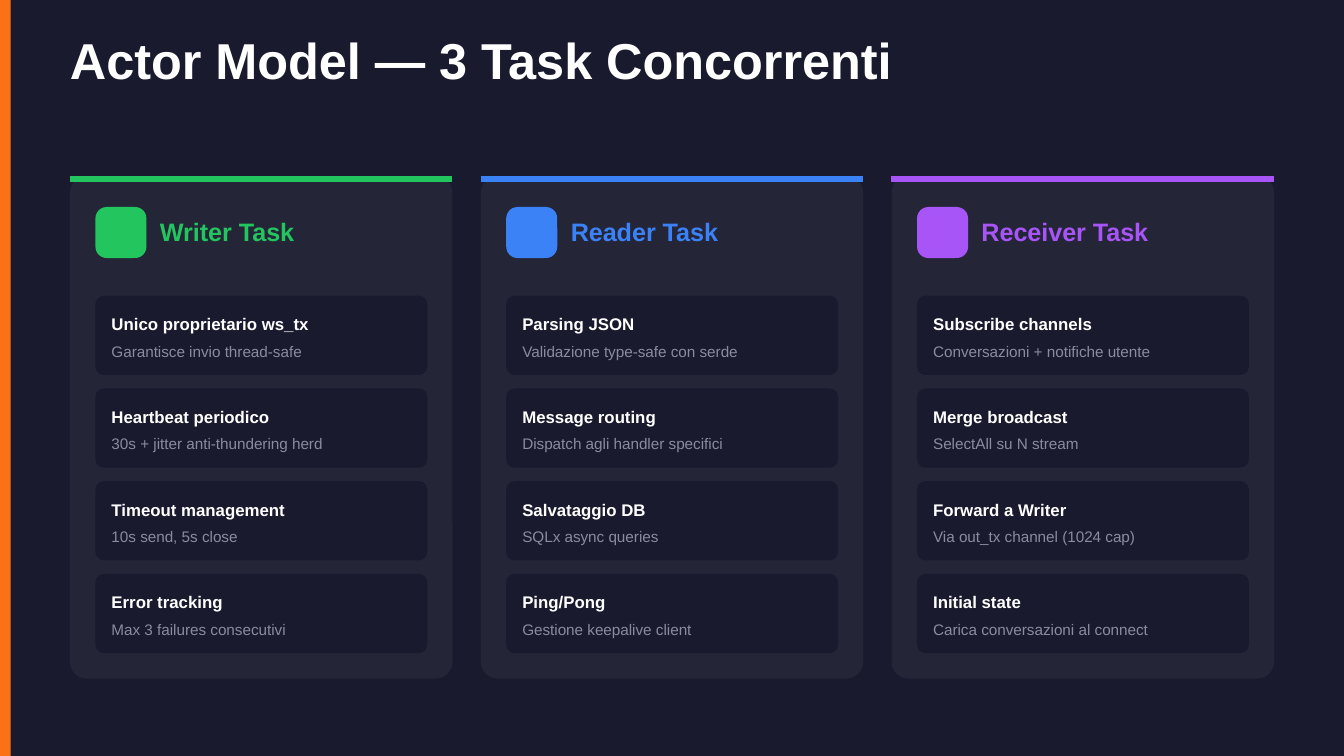
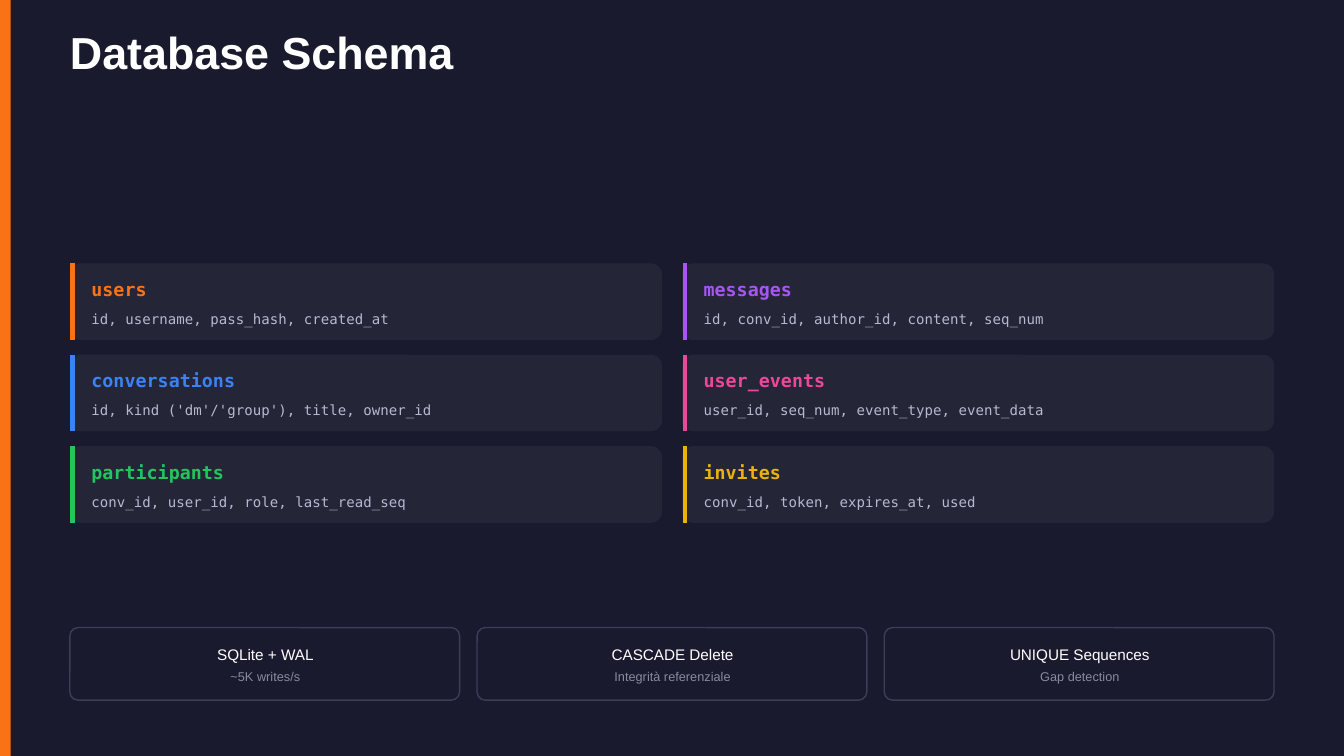
from dataclasses import dataclass, replace
from typing import NamedTuple

from lxml import etree
from pptx import Presentation
from pptx import util as u
from pptx.dml.color import RGBColor
from pptx.enum import shapes, text
from pptx.oxml import ns

HEX = {
    "night": "1A1A2E", "panel": "252538", "edge": "3D3D56", "white": "FFFFFF",
    "grey": "8B8BA0", "pale": "B8B8D0", "orange": "F97316", "green": "22C55E",
    "blue": "3B82F6", "purple": "A855F7", "pink": "EC4899", "yellow": "EAB308",
}
SANS, MONO = "Arial", "DejaVu Sans Mono"
LEFT, SPAN = 0.52, 8.96  # content area shared by every row of cards


class Box(NamedTuple):
    x: float
    y: float
    w: float
    h: float

    def inner(self, dx: float, dy: float, w: float, h: float) -> "Box":
        return Box(self.x + dx, self.y + dy, w, h)


@dataclass(frozen=True)
class Grid:
    """Equal cells across a width, at a fixed row pitch."""
    x: float
    y: float
    span: float
    cols: int
    gap: float
    high: float
    pitch: float = 0

    def cell(self, col: int, row: int = 0) -> Box:
        wide = (self.span - self.gap * (self.cols - 1)) / self.cols
        return Box(self.x + col * (wide + self.gap),
                   self.y + row * self.pitch, wide, self.high)


@dataclass(frozen=True)
class Type:
    size: float
    tint: str
    lead: float | None = None
    bold: bool = False
    font: str = SANS
    mid: bool = False
    after: float | None = None


class Task(NamedTuple):
    name: str
    tint: str
    wide: float
    items: list[tuple[str, str]]


class Table(NamedTuple):
    name: str
    tint: str
    cols: str


# Text styles
HEAD = Type(13.5, "white", 16.2, True)
ITEM = Type(9, "white", 12.6, True)
HINT = Type(8.2, "grey", 11.6)
NAME = Type(9.8, "white", bold=True, font=MONO, after=4.5)
COLS = Type(7.5, "pale", 10.5, font=MONO)
FACT = Type(8.2, "white", 11.6, mid=True)
NOTE = Type(6.8, "grey", 9.4, mid=True)

TASKS = [
    Task("Writer Task", "green", 1.02, [
        ("Unico proprietario ws_tx", "Garantisce invio thread-safe"),
        ("Heartbeat periodico", "30s + jitter anti-thundering herd"),
        ("Timeout management", "10s send, 5s close"),
        ("Error tracking", "Max 3 failures consecutivi")]),
    Task("Reader Task", "blue", 1.12, [
        ("Parsing JSON", "Validazione type-safe con serde"),
        ("Message routing", "Dispatch agli handler specifici"),
        ("Salvataggio DB", "SQLx async queries"),
        ("Ping/Pong", "Gestione keepalive client")]),
    Task("Receiver Task", "purple", 1.27, [
        ("Subscribe channels", "Conversazioni + notifiche utente"),
        ("Merge broadcast", "SelectAll su N stream"),
        ("Forward a Writer", "Via out_tx channel (1024 cap)"),
        ("Initial state", "Carica conversazioni al connect")]),
]
TABLES = [
    Table("users", "orange", "id, username, pass_hash, created_at"),
    Table("conversations", "blue", "id, kind ('dm'/'group'), title, owner_id"),
    Table("participants", "green", "conv_id, user_id, role, last_read_seq"),
    Table("messages", "purple", "id, conv_id, author_id, content, seq_num"),
    Table("user_events", "pink", "user_id, seq_num, event_type, event_data"),
    Table("invites", "yellow", "conv_id, token, expires_at, used"),
]
FACTS = [
    ("SQLite + WAL", "~5K writes/s"),
    ("CASCADE Delete", "Integrità referenziale"),
    ("UNIQUE Sequences", "Gap detection"),
]


def rgb(tint: str) -> RGBColor:
    return RGBColor.from_string(HEX[tint])


def style(shape, words: str, kind: Type) -> None:
    frame = shape.text_frame
    frame.text = words
    frame.word_wrap = True
    frame.auto_size = text.MSO_AUTO_SIZE.NONE
    frame.vertical_anchor = text.MSO_ANCHOR.TOP
    frame.margin_left = frame.margin_right = 0
    frame.margin_top = frame.margin_bottom = 0
    para = frame.paragraphs[0]
    para.alignment = text.PP_ALIGN.CENTER if kind.mid else text.PP_ALIGN.LEFT
    if kind.lead:
        para.line_spacing = u.Pt(kind.lead)
    if kind.after:
        para.space_after = u.Pt(kind.after)
    font = para.runs[0].font
    font.name, font.size, font.bold = kind.font, u.Pt(kind.size), kind.bold
    font.color.rgb = rgb(kind.tint)


def write(slide, box: Box, words: str, kind: Type) -> None:
    style(slide.shapes.add_textbox(*map(u.Inches, box)), words, kind)


def block(slide, box: Box, tint: str, bend: float = 0,
          edge: str | None = None) -> None:
    form = shapes.MSO_SHAPE
    shape = slide.shapes.add_shape(
        form.ROUNDED_RECTANGLE if bend else form.RECTANGLE,
        *map(u.Inches, box))
    shape.shadow.inherit = False
    if bend:
        shape.adjustments[0] = bend
    shape.fill.solid()
    shape.fill.fore_color.rgb = rgb(tint)
    if edge:
        shape.line.color.rgb = rgb(edge)
        shape.line.width = u.Pt(0.75)
    else:
        shape.line.fill.background()


def rule(slide, box: Box, tint: str, width: float) -> None:
    ends = box.x, box.y, box.x + box.w, box.y + box.h
    line = slide.shapes.add_connector(
        shapes.MSO_CONNECTOR.STRAIGHT, *map(u.Inches, ends))
    line.line.color.rgb = rgb(tint)
    line.line.width = u.Pt(width)
    etree.SubElement(line._element.spPr, ns.qn("a:effectLst"))


def start(deck, words: str, box: Box, size: float):
    """Add a slide with the side band and the title."""
    slide = deck.slides.add_slide(deck.slide_layouts[5])
    block(slide, Box(0, 0, 0.08, deck.slide_height / u.Inches(1)), "orange")
    title = slide.shapes.title
    title.left, title.top, title.width, title.height = map(u.Inches, box)
    style(title, words, Type(size, "white", size, True))
    return slide


def actors(deck) -> None:
    slide = start(deck, "Actor Model — 3 Task Concorrenti",
                  Box(LEFT, 0.29, 6.25, 0.38), 27)
    grid = Grid(LEFT, 1.31, SPAN, 3, 0.21, 3.74)
    for col, task in enumerate(TASKS):
        # Card and its header
        card = grid.cell(col)
        block(slide, card, "panel", 0.044)
        rule(slide, card.inner(0, 0.02, card.w, 0), task.tint, 3)
        block(slide, card.inner(0.19, 0.23, 0.38, 0.38), task.tint, 0.222)
        write(slide, card.inner(0.67, 0.3, task.wide, 0.22), task.name,
              replace(HEAD, tint=task.tint))
        # Duties
        duty = Grid(card.x + 0.19, 2.2, 2.47, 1, 0, 0.59, 0.69)
        for row, (name, hint) in enumerate(task.items):
            cell = duty.cell(0, row)
            block(slide, cell, "night", 0.107)
            write(slide, cell.inner(0.12, 0.11, 2.27, 0.17), name, ITEM)
            write(slide, cell.inner(0.12, 0.32, 2.27, 0.16), hint, HINT)


def schema(deck) -> None:
    slide = start(deck, "Database Schema", Box(LEFT, 0.25, 4.69, 0.33), 24)
    # Tables, filled column by column
    grid = Grid(LEFT, 1.96, SPAN, 2, 0.15, 0.57, 0.68)
    for i, table in enumerate(TABLES):
        cell = grid.cell(*divmod(i, 3))
        block(slide, cell, "panel", 0.145)
        rule(slide, cell.inner(0.02, 0, 0, cell.h), table.tint, 2.25)
        write(slide, cell.inner(0.16, 0.11, 4.21, 0.16), table.name,
              replace(NAME, tint=table.tint))
        write(slide, cell.inner(0.16, 0.33, 4.21, 0.15), table.cols, COLS)
    # Facts along the foot
    foot = Grid(LEFT, 4.67, SPAN, 3, 0.13, 0.54)
    for col, (fact, note) in enumerate(FACTS):
        cell = foot.cell(col)
        block(slide, cell, "night", 0.115, "edge")
        write(slide, cell.inner(0.09, 0.11, 2.73, 0.16), fact, FACT)
        write(slide, cell.inner(0.09, 0.29, 2.73, 0.13), note, NOTE)


def main() -> None:
    deck = Presentation()
    deck.slide_width = u.Inches(10)
    deck.slide_height = deck.slide_width * 9 // 16
    back = deck.slide_master.background.fill
    back.solid()
    back.fore_color.rgb = rgb("night")
    actors(deck)
    schema(deck)
    deck.save("out.pptx")


if __name__ == "__main__":
    main()
